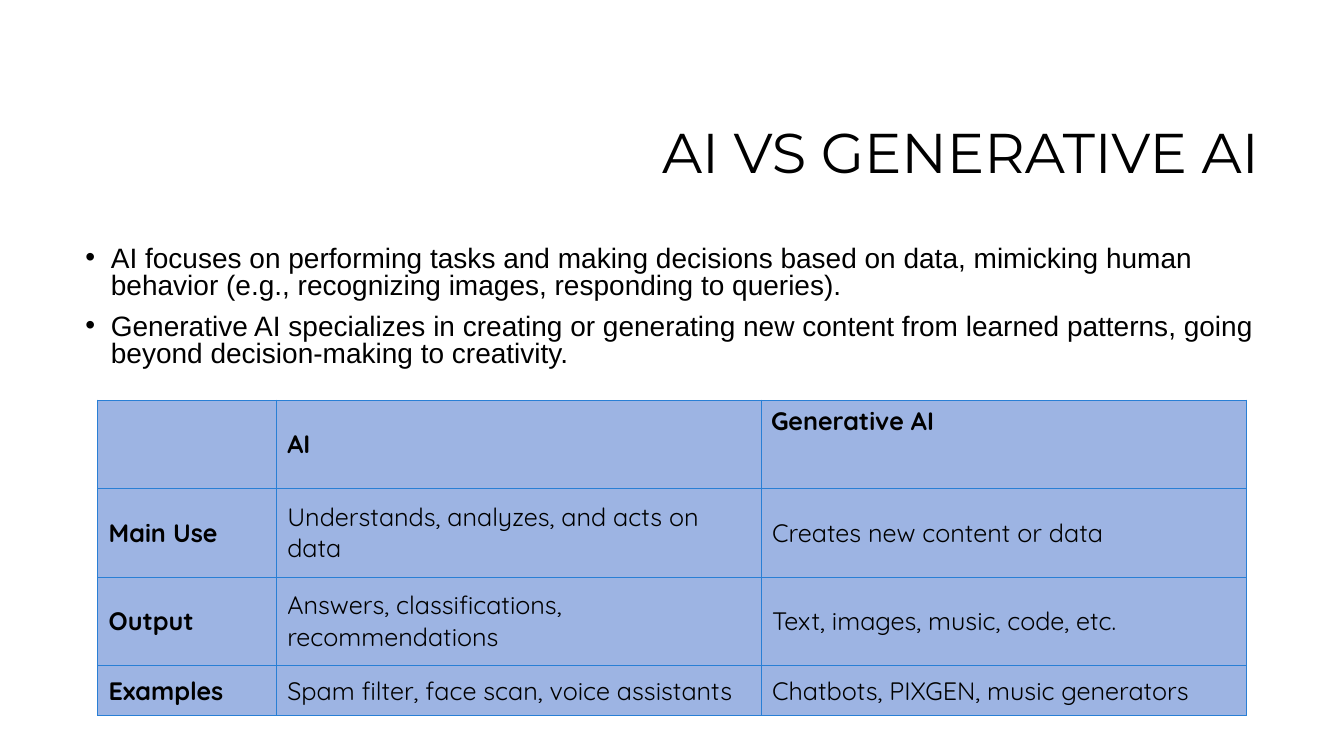
from lxml.etree import SubElement
from pptx import Presentation
from pptx.dml.color import RGBColor
from pptx.enum.text import MSO_ANCHOR, MSO_AUTO_SIZE, PP_ALIGN
from pptx.oxml import parse_xml
from pptx.oxml.ns import nsdecls, qn
from pptx.util import Cm, Pt

BLACK = RGBColor(0x00, 0x00, 0x00)
WHITE = RGBColor(0xFF, 0xFF, 0xFF)
CELL_BLUE = RGBColor(0x9D, 0xB4, 0xE3)
BORDER_BLUE = RGBColor(0x29, 0x7F, 0xD5)

TITLE = "AI VS GENERATIVE AI"
POINTS = [
    "AI focuses on performing tasks and making decisions based on data, "
    "mimicking human behavior (e.g., recognizing images, responding to queries).",
    "Generative AI specializes in creating or generating new content from "
    "learned patterns, going beyond decision-making to creativity.",
]
COMPARISON = [
    ["", "AI", "Generative AI"],
    ["Main Use", "Understands, analyzes, and acts on data", "Creates new content or data"],
    ["Output", "Answers, classifications, recommendations", "Text, images, music, code, etc."],
    ["Examples", "Spam filter, face scan, voice assistants", "Chatbots, PIXGEN, music generators"],
]
COL_WIDTHS = [4.5, 12.22, 12.22]
ROW_HEIGHTS = [2.23, 2.23, 2.23, 1.27]


def set_font(p, name, size, bold=False):
    for r in p.runs:
        r.font.name = name
        r.font.size = Pt(size)
        r.font.bold = bold
        r.font.color.rgb = BLACK


def place(sp, left, top, width, height):
    sp.left, sp.top, sp.width, sp.height = Cm(left), Cm(top), Cm(width), Cm(height)


def add_title(sp, left, top, width, height):
    place(sp, left, top, width, height)
    tf = sp.text_frame
    tf.text = TITLE
    tf.auto_size = MSO_AUTO_SIZE.NONE
    tf.vertical_anchor = MSO_ANCHOR.MIDDLE
    p = tf.paragraphs[0]
    p.alignment = PP_ALIGN.RIGHT
    p.line_spacing = 0.9
    set_font(p, "Montserrat", 40)


def add_points(sp, left, top, width, height):
    place(sp, left, top, width, height)
    tf = sp.text_frame
    tf.text = "\n".join(POINTS)
    tf.auto_size = MSO_AUTO_SIZE.NONE
    tf.vertical_anchor = MSO_ANCHOR.TOP
    for i, p in enumerate(tf.paragraphs):
        pPr = p._p.get_or_add_pPr()
        pPr.set("marL", str(Cm(0.64)))
        pPr.set("indent", str(-Cm(0.64)))
        SubElement(pPr, qn("a:buFont")).set("typeface", "Arial")
        SubElement(pPr, qn("a:buChar")).set("char", "•")
        p.line_spacing = 0.8
        p.space_before = Pt(10 if i else 0)
        set_font(p, "Arial", 20)


def add_borders(cell):
    tcPr = cell._tc.get_or_add_tcPr()
    for i, side in enumerate(("lnL", "lnR", "lnT", "lnB")):
        tcPr.insert(i, parse_xml(
            f'<a:{side} {nsdecls("a")} w="{Pt(0.75)}"><a:solidFill>'
            f'<a:srgbClr val="{BORDER_BLUE}"/></a:solidFill></a:{side}>'))


def add_comparison(slide, left, top):
    frame = slide.shapes.add_table(
        len(ROW_HEIGHTS), len(COL_WIDTHS), Cm(left), Cm(top),
        Cm(sum(COL_WIDTHS)), Cm(sum(ROW_HEIGHTS)))
    table = frame.table
    table.first_row = table.horz_banding = False
    for col, width in zip(table.columns, COL_WIDTHS):
        col.width = Cm(width)
    for row, height in zip(table.rows, ROW_HEIGHTS):
        row.height = Cm(height)
    for i, texts in enumerate(COMPARISON):
        for j, text in enumerate(texts):
            cell = table.cell(i, j)
            cell.text = text
            cell.fill.solid()
            cell.fill.fore_color.rgb = CELL_BLUE
            cell.margin_left = cell.margin_right = Cm(0.28)
            cell.margin_top = cell.margin_bottom = Cm(0.13)
            cell.vertical_anchor = MSO_ANCHOR.MIDDLE
            set_font(cell.text_frame.paragraphs[0], "Quicksand", 18, i == 0 or j == 0)
            add_borders(cell)
    corner = table.cell(0, 2)
    corner.vertical_anchor = MSO_ANCHOR.TOP
    corner.margin_left = corner.margin_right = Cm(0.25)


def main():
    prs = Presentation()
    prs.slide_width, prs.slide_height = Cm(33.87), Cm(19.05)
    slide = prs.slides.add_slide(prs.slide_layouts[1])
    slide.background.fill.solid()
    slide.background.fill.fore_color.rgb = WHITE
    add_title(slide.shapes.title, 8.05, 2.13, 23.93, 3.58)
    add_points(slide.placeholders[1], 1.9, 6.1, 30.05, 11.18)
    add_comparison(slide, 2.46, 10.08)
    prs.save("out.pptx")


if __name__ == "__main__":
    main()
